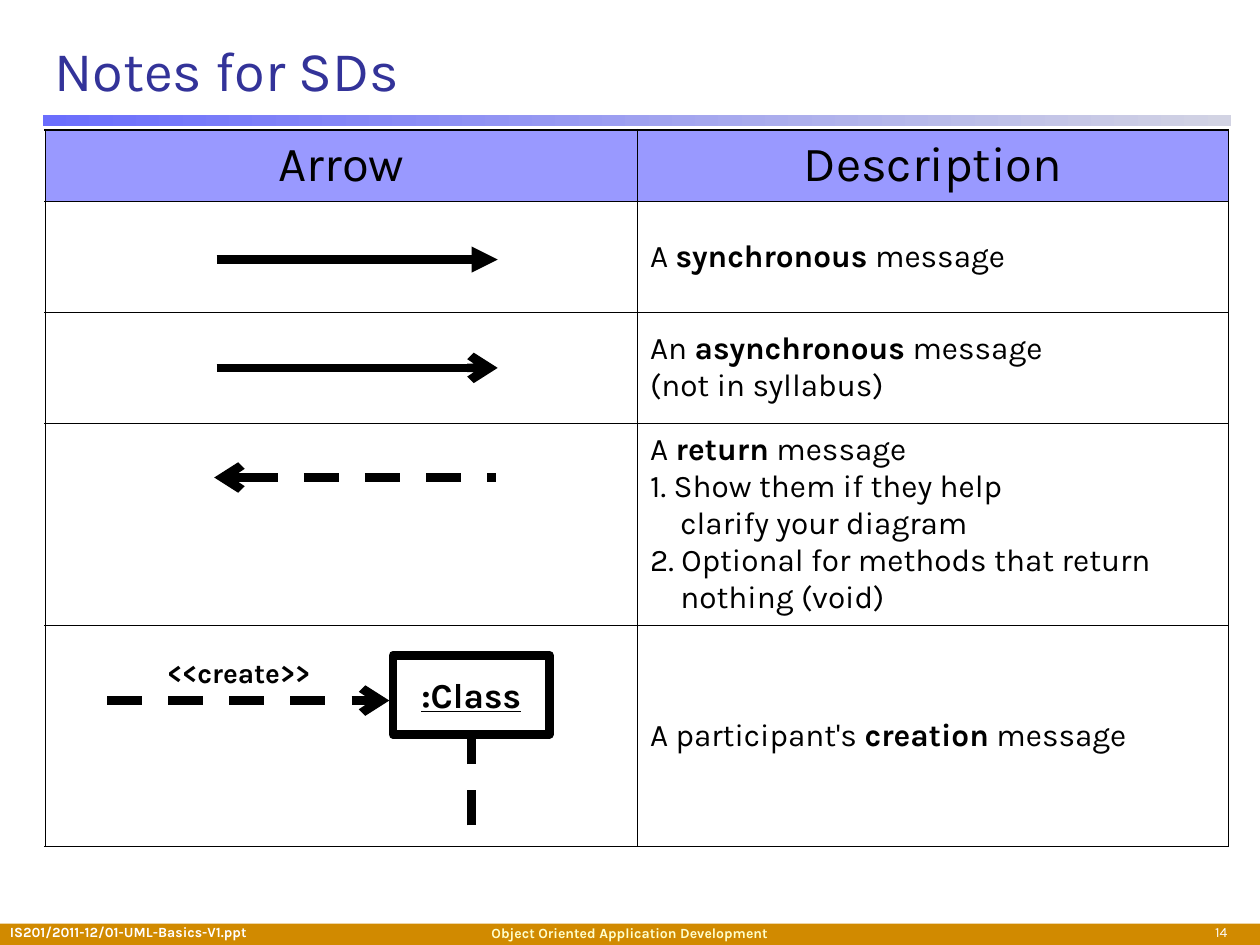
"""Build a slide that explains the arrows of sequence diagrams."""
from typing import NamedTuple, Optional

from lxml import etree
from pptx import Presentation
from pptx.dml.color import RGBColor
from pptx.enum.dml import MSO_LINE
from pptx.enum.shapes import MSO_CONNECTOR, MSO_SHAPE
from pptx.enum.text import MSO_ANCHOR, PP_ALIGN
from pptx.oxml.ns import qn
from pptx.util import Inches, Pt

LEFT, MID, RIGHT = PP_ALIGN.LEFT, PP_ALIGN.CENTER, PP_ALIGN.RIGHT
CENTER = MSO_ANCHOR.MIDDLE
RECT, LINE, DASH = MSO_SHAPE.RECTANGLE, MSO_CONNECTOR.STRAIGHT, MSO_LINE.DASH
FONT, BLACK, WHITE = "Karla", "000000", "FFFFFF"
THICK, THIN, HANG = 1.08, 0.45, 0.24


class Style(NamedTuple):
    size: float
    color: str = BLACK
    bold: bool = False
    line: bool = False


class Label(NamedTuple):
    box: tuple
    text: str
    style: Style
    align: PP_ALIGN


class Arrow(NamedTuple):
    start: tuple
    end: tuple
    dash: bool = False
    head: Optional[str] = None
    tail: Optional[str] = None


class Para(NamedTuple):
    runs: tuple
    hang: float = 0


PLAIN, STRONG = Style(18), Style(18, bold=True)
HEADS = ("Arrow", "Description")
COLS, ROWS = (4.7, 4.69), (0.57, 0.88, 0.88, 1.6, 1.76)
NOTES = (
    (Para(("A ", "synchronous", " message")),),
    (Para(("An ", "asynchronous", " message")), Para(("(not in syllabus)",))),
    (
        Para(("A ", "return", " message")),
        Para(("1. Show them if they help\nclarify your diagram",), HANG),
        Para(("2. Optional for methods that return\nnothing (void)",), HANG),
    ),
    (Para(("A participant's ", "creation", " message")),),
)
LABELS = (
    Label((-0.02, 7.28, 3.45, 0.23), "IS201/2011-12/01-UML-Basics-V1.ppt",
          Style(8, WHITE, True), LEFT),
    Label((8.42, 7.28, 1.42, 0.2), "14", Style(8, WHITE), RIGHT),
    Label((3, 7.29, 4, 0.17), "Object Oriented Application Development",
          Style(8, "FFFFCC", True), MID),
    Label((0.75, 5.15, 2.29, 0.37), "<<create>>", Style(16, bold=True), MID),
)
ARROWS = (
    Arrow((1.72, 2.06), (3.95, 2.06), tail="triangle"),
    Arrow((1.72, 2.92), (3.95, 2.92), tail="arrow"),
    Arrow((1.7, 3.79), (3.94, 3.79), dash=True, head="arrow"),
    Arrow((0.85, 5.56), (3.09, 5.56), dash=True, tail="arrow"),
)
LIFE = Arrow((3.74, 6.55), (3.74, 5.83), dash=True)


def rgb(code: str) -> RGBColor:
    """Turn a hex string into a colour."""
    return RGBColor.from_string(code)


def write(para, text: str, style: Style) -> None:
    """Add text to a paragraph, with a line break at each newline."""
    for i, part in enumerate(text.split("\n")):
        if i:
            para.add_line_break()
        run = para.add_run()
        run.text = part
        font = run.font
        font.name, font.size = FONT, Pt(style.size)
        font.bold, font.underline = style.bold, style.line
        font.color.rgb = rgb(style.color)


def add_box(slide, box: tuple):
    """Draw a rectangle without a line."""
    shape = slide.shapes.add_shape(RECT, *map(Inches, box))
    shape.shadow.inherit = False
    shape.line.fill.background()
    return shape


def add_label(slide, label: Label) -> None:
    """Draw a one-line text box."""
    frame = slide.shapes.add_textbox(*map(Inches, label.box)).text_frame
    frame.word_wrap = True
    para = frame.paragraphs[0]
    para.alignment = label.align
    write(para, label.text, label.style)


def add_arrow(slide, arrow: Arrow):
    """Draw a thick line with its arrowheads."""
    link = slide.shapes.add_connector(LINE, *map(Inches, arrow.start + arrow.end))
    link.line.width = Pt(5)
    link.line.color.rgb = rgb(BLACK)
    if arrow.dash:
        link.line.dash_style = DASH
    props = link.line._get_or_add_ln()
    for tag, kind in (("a:headEnd", arrow.head), ("a:tailEnd", arrow.tail)):
        if kind:
            etree.SubElement(props, qn(tag), type=kind)
    etree.SubElement(link._element.spPr, qn("a:effectLst"))
    return link


def set_edges(cell, row: int, col: int) -> None:
    """Give a cell thick outer borders and thin inner ones."""
    props = cell._tc.get_or_add_tcPr()
    outer = (col == 0, col == len(COLS) - 1, row == 0, row == len(ROWS) - 1)
    for i, (side, edge) in enumerate(zip("LRTB", outer)):
        line = etree.Element(qn("a:ln" + side), w=str(Pt(THICK if edge else THIN)))
        fill = etree.SubElement(line, qn("a:solidFill"))
        etree.SubElement(fill, qn("a:srgbClr"), val=BLACK)
        props.insert(i, line)


def fill_note(cell, note: tuple) -> None:
    """Write a description, with its second run in bold."""
    frame = cell.text_frame
    for i, item in enumerate(note):
        para = frame.add_paragraph() if i else frame.paragraphs[0]
        if item.hang:
            props = para._p.get_or_add_pPr()
            props.set("marL", str(Inches(item.hang)))
            props.set("indent", str(-Inches(item.hang)))
        for j, text in enumerate(item.runs):
            write(para, text, STRONG if j == 1 else PLAIN)


def add_grid(slide) -> None:
    """Draw the table of arrows and descriptions."""
    box = map(Inches, (0.36, 1.03, sum(COLS), sum(ROWS)))
    table = slide.shapes.add_table(len(ROWS), len(COLS), *box).table
    table.first_row = table.horz_banding = False
    for col, width in zip(table.columns, COLS):
        col.width = Inches(width)
    for r, height in enumerate(ROWS):
        table.rows[r].height = Inches(height)
        for c, head in enumerate(HEADS):
            cell = table.cell(r, c)
            cell.vertical_anchor = CENTER
            if r == 0:
                cell.fill.solid()
                cell.fill.fore_color.rgb = rgb("9999FF")
                para = cell.text_frame.paragraphs[0]
                para.alignment = MID
                write(para, head, Style(28))
            else:
                cell.fill.background()
                if c == 1:
                    fill_note(cell, NOTES[r - 1])
            set_edges(cell, r, c)


def main() -> None:
    """Build and save the slide."""
    deck = Presentation()
    deck.slide_width, deck.slide_height = Inches(10), Inches(7.5)
    slide = deck.slides.add_slide(deck.slide_layouts[5])
    title = slide.shapes.title
    title.left, title.top, title.width, title.height = map(
        Inches, (0.33, 0.17, 9.42, 0.75))
    title.text_frame.vertical_anchor = CENTER
    para = title.text_frame.paragraphs[0]
    para.alignment = LEFT
    write(para, "Notes for SDs", Style(32, "333399"))
    foot = add_box(slide, (0, 7.33, 10, 0.17))
    foot.fill.solid()
    foot.fill.fore_color.rgb = rgb("D18A00")
    rule = add_box(slide, (0.34, 0.91, 9.43, 0.09))
    rule.fill.gradient()
    rule.fill.gradient_angle = 0
    for stop, code in zip(rule.fill.gradient_stops, ("6B6EFD", "D2D3E3")):
        stop.color.rgb = rgb(code)
    add_grid(slide)
    for arrow in ARROWS:
        add_arrow(slide, arrow)
    node = add_box(slide, (3.12, 5.2, 1.24, 0.63))
    node.fill.background()
    node.line.color.rgb = rgb(BLACK)
    node.line.width = Pt(5)
    node.text_frame.vertical_anchor = CENTER
    para = node.text_frame.paragraphs[0]
    para.alignment = MID
    write(para, ":Class", Style(20, bold=True, line=True))
    add_arrow(slide, LIFE).end_connect(node, 2)
    for label in LABELS:
        add_label(slide, label)
    deck.save("out.pptx")


if __name__ == "__main__":
    main()
